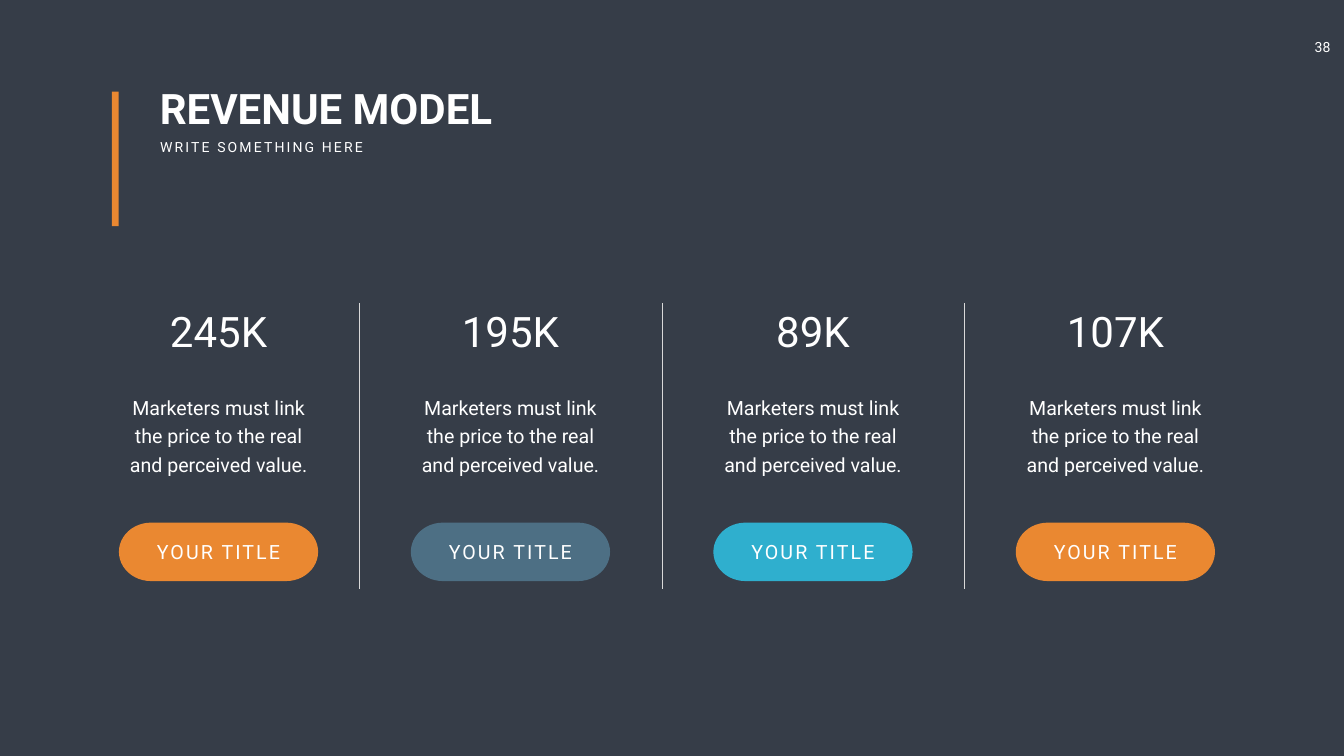
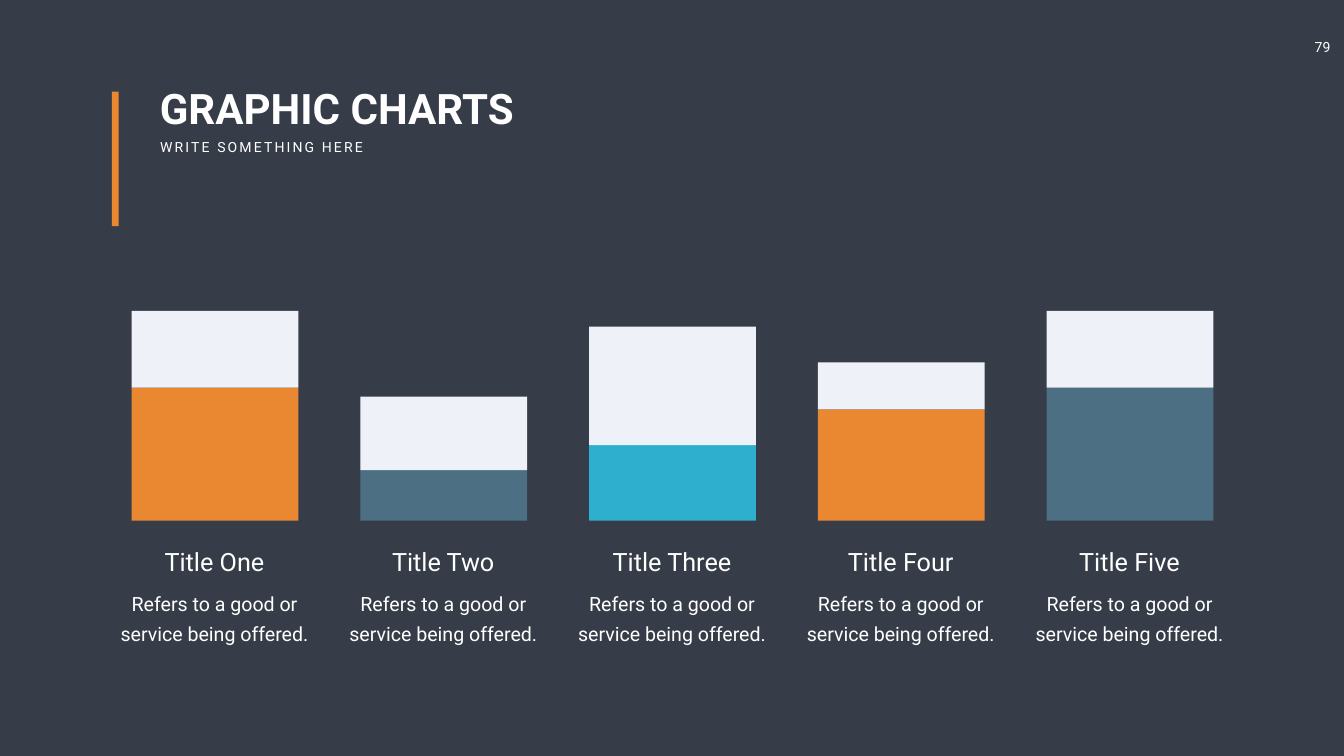
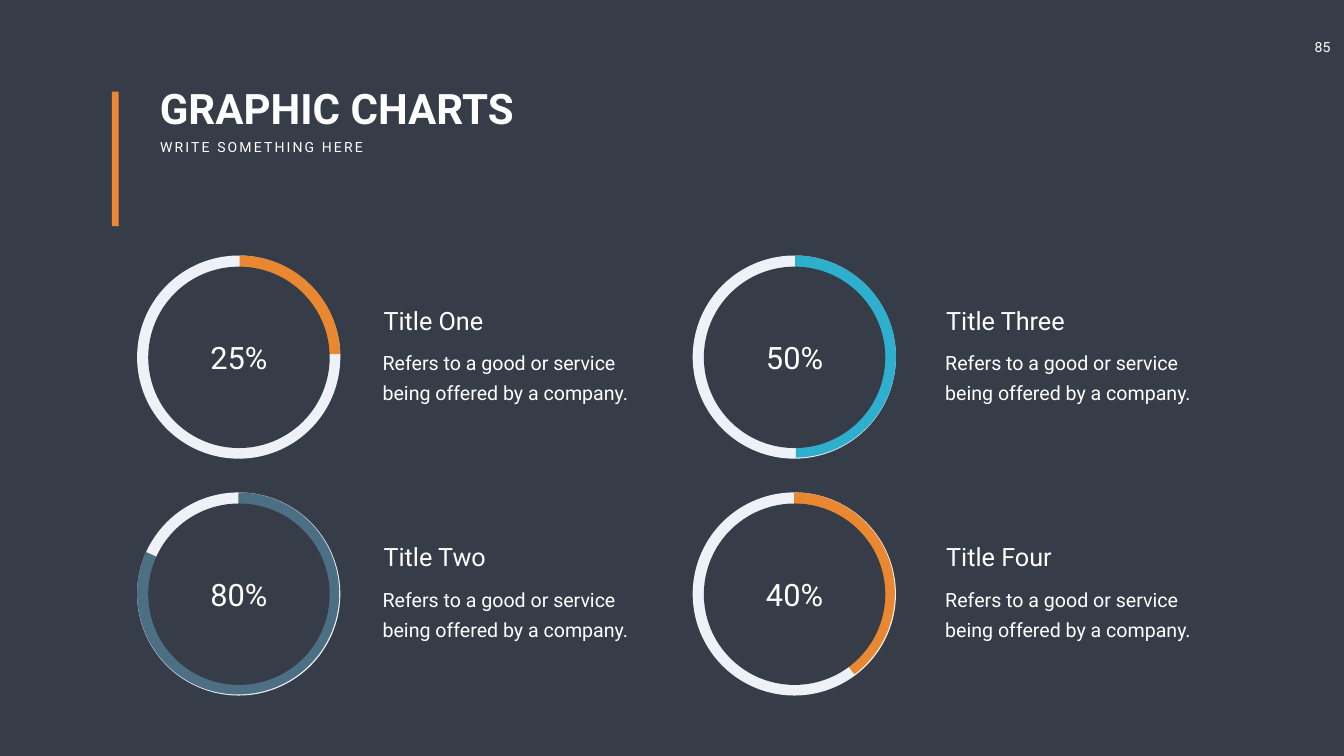
"""Build three dark slides: revenue columns, stacked bars and progress rings."""
from pptx import Presentation
from pptx.dml.color import RGBColor
from pptx.enum.shapes import MSO_CONNECTOR as Line, MSO_SHAPE as Form
from pptx.enum.text import MSO_ANCHOR as Anchor, MSO_AUTO_SIZE as Fit, PP_ALIGN as Align
from pptx.oxml.ns import qn
from pptx.util import Inches, Pt

DARK, PALE, WHITE, RULE = "363D48", "EFF1F8", "FFFFFF", "D9D9D9"
GOLD, SLATE, AQUA = "EA8831", "4D6F84", "2FAFCE"
MID, LEFT = Align.CENTER, Align.LEFT


def tint(code):
    return RGBColor.from_string(code)


def write(frame, text, size=28, bold=False, align=MID, lead=None, track=0,
          inset=(0.1, 0.05), anchor=Anchor.TOP, wrap=True):
    frame.word_wrap = wrap
    frame.auto_size = Fit.NONE
    frame.vertical_anchor = anchor
    frame.margin_left = frame.margin_right = Inches(inset[0])
    frame.margin_top = frame.margin_bottom = Inches(inset[1])
    para = frame.paragraphs[0]
    para.alignment = align
    if lead:
        para.line_spacing = Pt(lead)
    run = para.add_run()
    run.text = text
    font = run.font
    font.name, font.size, font.bold = "Roboto", Pt(size), bold
    font.color.rgb = tint(WHITE)
    if track:
        run._r.get_or_add_rPr().set("spc", str(track * 100))


class Deck:
    """Hold the deck style and the current slide; lengths are percent of the slide."""

    def __init__(self):
        self.prs = Presentation()
        self.prs.slide_width, self.prs.slide_height = Inches(26.66), Inches(15)
        fill = self.prs.slide_master.background.fill
        fill.solid()
        fill.fore_color.rgb = tint(DARK)

    def place(self, x, y, w, h):
        wide, high = self.prs.slide_width, self.prs.slide_height
        return [int(part * full / 100) for part, full in zip((x, y, w, h), (wide, high) * 2)]

    def start(self, title, page):
        self.slide = self.prs.slides.add_slide(self.prs.slide_layouts[5])
        head = self.slide.shapes.title
        head.left, head.top, head.width, head.height = self.place(11.52, 10.6, 38.97, 7.4)
        write(head.text_frame, title, size=60, bold=True, align=LEFT)
        self.text((11.55, 18, 16.32, 2.93), "WRITE SOMETHING HERE",
                  size=20, align=LEFT, track=3, wrap=False)
        self.text((96.7, 4.47, 3.41, 3.6), str(page), size=20, inset=(0.2, 0.1), wrap=False)
        self.shape(Form.RECTANGLE, (8.33, 12.13, 0.49, 17.8), GOLD)

    def text(self, box, text, **style):
        write(self.slide.shapes.add_textbox(*self.place(*box)).text_frame, text, **style)

    def body(self, box, text, **style):
        self.text(box, text, lead=43, inset=(0.24, 0.12), **style)

    def shape(self, form, box, color, text=None, **style):
        item = self.slide.shapes.add_shape(form, *self.place(*box))
        item.shadow.inherit = False
        item.fill.solid()
        item.fill.fore_color.rgb = tint(color)
        item.line.fill.background()
        if text:
            write(item.text_frame, text, anchor=Anchor.MIDDLE, wrap=False, **style)
        return item

    def rule(self, x, top, base):
        ends = self.place(x, top, x, base)
        line = self.slide.shapes.add_connector(Line.STRAIGHT, *ends)
        line.line.color.rgb = tint(RULE)
        line.line.width = Pt(0.5)
        props = line._element.spPr
        props.append(props.makeelement(qn("a:effectLst"), {}))

    def ring(self, x, y, shift, label, end, color):
        self.shape(Form.OVAL, (x, y, 15.12, 26.87), PALE)
        pie = self.shape(Form.PIE, (x + shift, y, 15.04, 26.73), color)
        pie.adjustments[0], pie.adjustments[1] = 270.2 * 0.6, end * 0.6
        self.shape(Form.OVAL, (x + 0.83, y + 1.47, 13.5, 24), DARK, label, size=44)


def revenue(deck):
    deck.start("REVENUE MODEL", 38)
    cols = [(8.85, "245K", GOLD), (30.57, "195K", SLATE),
            (53.08, "89K", AQUA), (75.58, "107K", GOLD)]
    wide = 14.82
    for x, value, color in cols:
        deck.text((x, 40.07, wide, 7.4), value, size=60)
        deck.text((x, 51.33, wide, 11.8),
                  "Marketers must link the price to the real and perceived value.", lead=40.8)
        deck.shape(Form.FLOWCHART_TERMINATOR, (x, 69.13, wide, 7.73), color,
                   "YOUR TITLE", track=3)
    for i in range(3):
        deck.rule(26.74 + 22.5 * i, 40.07, 77.93)


def bars(deck):
    deck.start("GRAPHIC CHARTS", 79)
    cols = [("One", 17.6, 10.13, GOLD), ("Two", 6.67, 9.73, SLATE),
            ("Three", 10, 15.67, AQUA), ("Four", 14.73, 6.2, GOLD),
            ("Five", 17.6, 10.13, SLATE)]
    base, wide = 68.87, 12.42
    for i, (name, low, high, color) in enumerate(cols):
        x = 9.79 + 17.02 * i
        deck.shape(Form.RECTANGLE, (x, base - low, wide, low), color)
        deck.shape(Form.RECTANGLE, (x, base - low - high, wide, high), PALE)
        deck.text((x - 1.54, 72, 15.42, 4.73), f"Title {name}", size=36)
        deck.body((x - 1.84, 76.67, 16.02, 9.27), "Refers to a good or service being offered.")


def rings(deck):
    deck.start("GRAPHIC CHARTS", 85)
    items = [("One", "25%", 358.5, GOLD), ("Two", "80%", 204.2, SLATE),
             ("Three", "50%", 89.4, AQUA), ("Four", "40%", 53.2, GOLD)]
    for i, (name, label, end, color) in enumerate(items):
        col, row = divmod(i, 2)
        y = 33.8 + 31.33 * row
        deck.ring(10.2 + 41.34 * col, y, 0 if row else 0.08, label, end, color)
        x = 27.57 + 41.86 * col
        deck.text((x + 0.6, y + 6.2, 20.29, 4.73), f"Title {name}", size=36, align=LEFT)
        deck.body((x, y + 10.93, 22.43, 9.27),
                  "Refers to a good or service being offered by a company.", align=LEFT)


def main():
    deck = Deck()
    for build in (revenue, bars, rings):
        build(deck)
    deck.prs.save("out.pptx")


if __name__ == "__main__":
    main()
